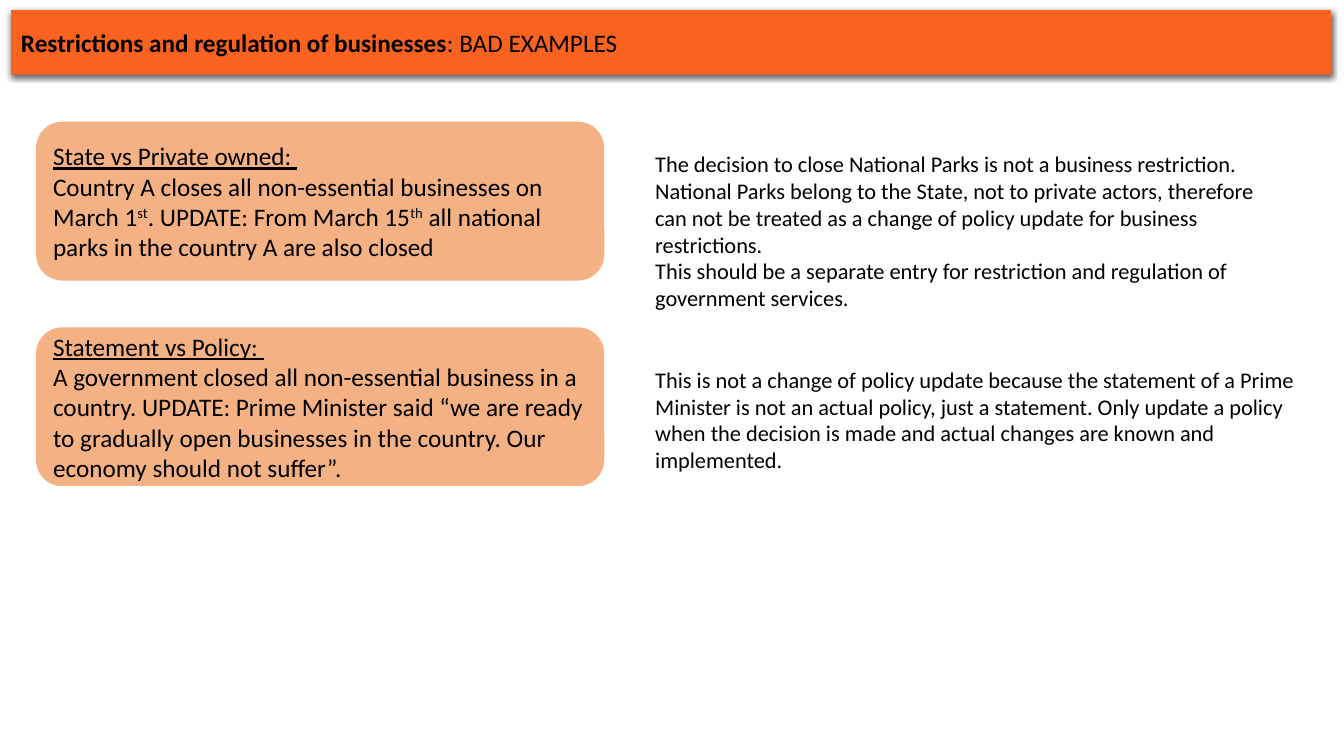
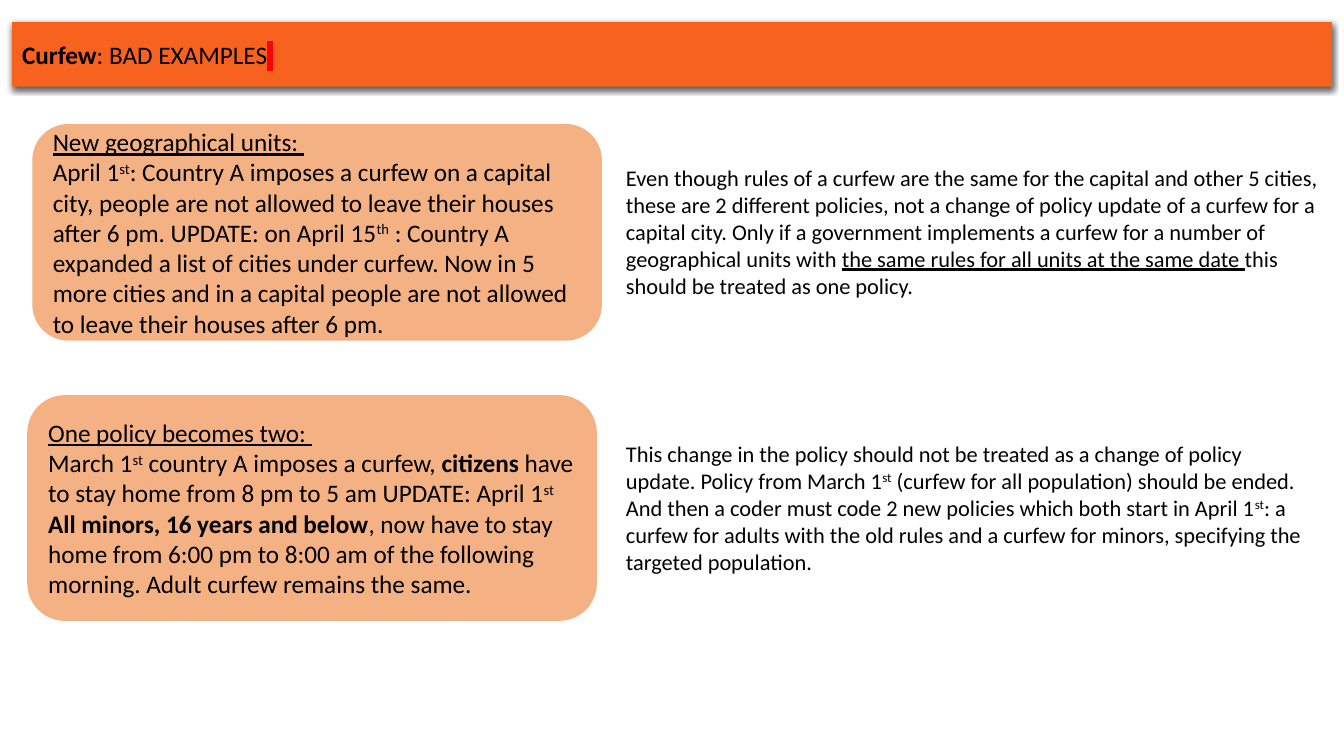
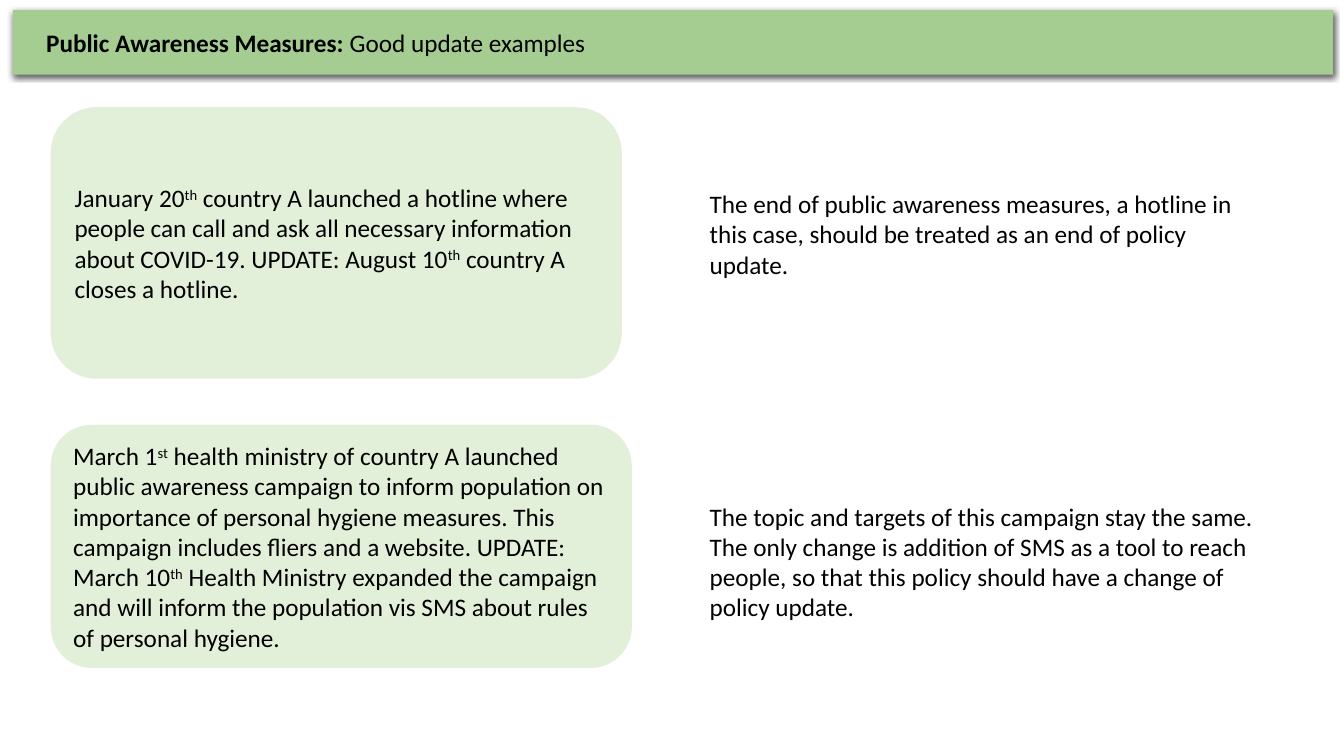
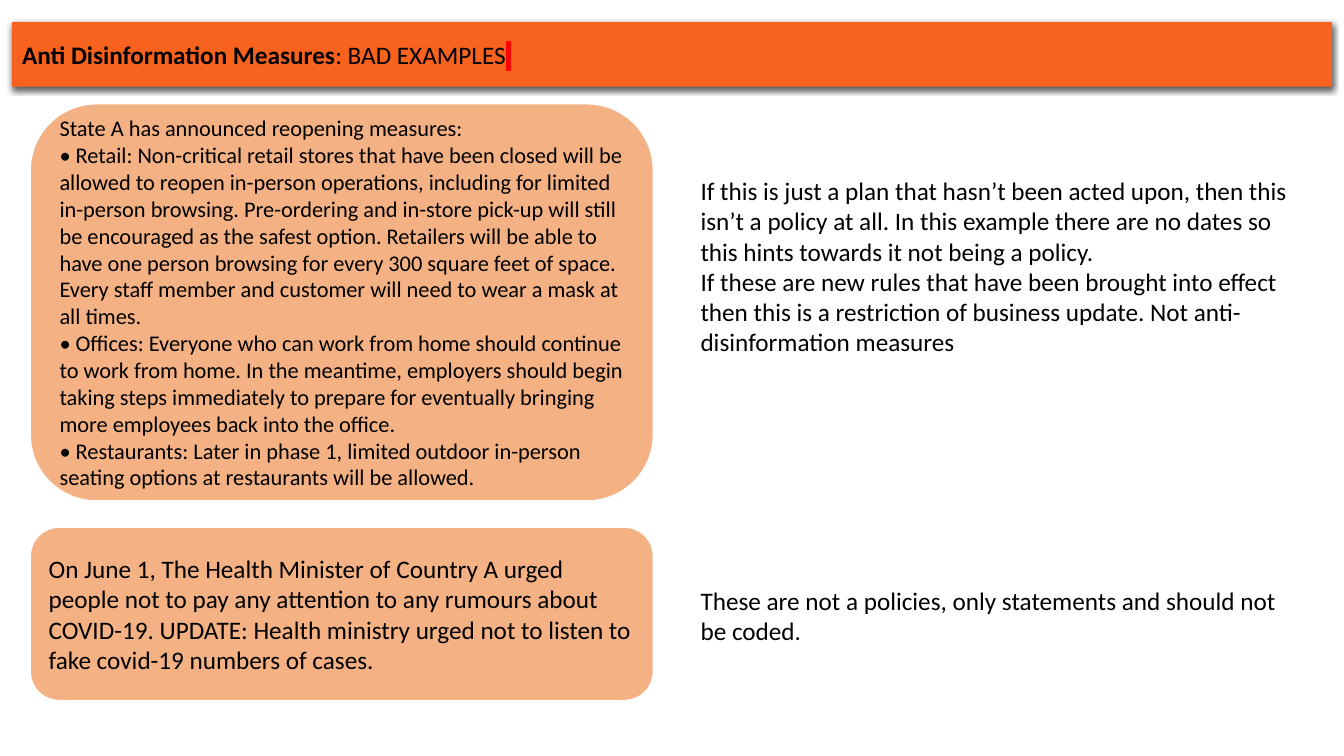
"""Build four slides of good and bad policy update examples."""
from dataclasses import dataclass

import lxml.etree
import pptx
import pptx.dml.color
import pptx.enum.shapes
import pptx.enum.text
import pptx.oxml
import pptx.oxml.ns
import pptx.util

Inches = pptx.util.Inches
BOLD, UNDERLINE, SUPER, MARK = "bold", "underline", "super", "mark"
ST, TH = ("st", SUPER), ("th", SUPER)


@dataclass(frozen=True)
class Theme:
    """Colours, font and type sizes shared by all slides."""
    font: str = "Calibri"
    ink: str = "000000"
    white: str = "FFFFFF"
    mark: str = "FF0000"
    business_band: str = "F9621F"
    bad_band: str = "F8621F"
    bad_case: str = "F4B183"
    good_band: str = "A5CD92"
    good_case: str = "E2F0D9"
    plain_table: str = "{2D5ABB26-0587-4C30-8999-92F81FD0307C}"
    large: int = 18
    small: int = 16


THEME = Theme()


def rgb(value):
    """Return a colour object for a hex value."""
    return pptx.dml.color.RGBColor.from_string(value)


def style_run(r, size, style):
    """Set the font of a run and its optional emphasis."""
    r.font.size = pptx.util.Pt(size)
    r.font.color.rgb = rgb(THEME.ink)
    r.font.name = THEME.font
    r.font.bold = style == BOLD
    r.font.underline = style == UNDERLINE
    rpr = r._r.get_or_add_rPr()
    if style == SUPER:
        rpr.set("baseline", "30000")
    if style == MARK:
        highlight = lxml.etree.Element(pptx.oxml.ns.qn("a:highlight"))
        lxml.etree.SubElement(highlight, pptx.oxml.ns.qn("a:srgbClr"), val=THEME.mark)
        rpr.find(pptx.oxml.ns.qn("a:latin")).addprevious(highlight)


def write(sp, paragraphs, size):
    """Fill a shape with left-aligned paragraphs made of plain or styled runs."""
    tf = sp.text_frame
    tf.word_wrap = True
    for i, runs in enumerate(paragraphs):
        p = tf.add_paragraph() if i else tf.paragraphs[0]
        p.alignment = pptx.enum.text.PP_ALIGN.LEFT
        for run in runs:
            text, style = (run, None) if isinstance(run, str) else run
            r = p.add_run()
            r.text = text
            style_run(r, size, style)


def add_panel(s, kind, box, fill, line=None):
    """Add a filled shape with middle-anchored text."""
    sp = s.shapes.add_shape(kind, *map(Inches, box))
    sp.shadow.inherit = False
    sp.fill.solid()
    sp.fill.fore_color.rgb = rgb(fill)
    if line:
        sp.line.color.rgb = rgb(line)
        sp.line.width = pptx.util.Pt(1)
    else:
        sp.line.fill.background()
    sp.text_frame.vertical_anchor = pptx.enum.text.MSO_ANCHOR.MIDDLE
    return sp


def add_band(s, left, top, fill, title=()):
    """Add the title band with its drop shadow."""
    sp = add_panel(s, pptx.enum.shapes.MSO_SHAPE.RECTANGLE, (left, top, 13.09, 0.64), fill)
    effects = sp._element.spPr.find(pptx.oxml.ns.qn("a:effectLst"))
    effects.append(pptx.oxml.parse_xml(
        f'<a:outerShdw {pptx.oxml.ns.nsdecls("a")} blurRad="57150" dist="19050" dir="5400000"'
        ' algn="ctr" rotWithShape="0"><a:srgbClr val="000000"><a:alpha val="63000"/>'
        '</a:srgbClr></a:outerShdw>'))
    write(sp, [title], THEME.large)


def add_case(s, box, fill, line, paragraphs, size=THEME.large):
    """Add a rounded box holding an example."""
    sp = add_panel(s, pptx.enum.shapes.MSO_SHAPE.ROUNDED_RECTANGLE, box, fill, line)
    write(sp, paragraphs, size)


def add_note(s, box, paragraphs, size):
    """Add free text such as the comment beside an example."""
    write(s.shapes.add_textbox(*map(Inches, box)), paragraphs, size)


def add_plain_table(s, box):
    """Add a one-cell table without fill or borders."""
    table = s.shapes.add_table(1, 1, *map(Inches, box)).table
    table.first_row = table.horz_banding = False
    table._tbl.tblPr.find(pptx.oxml.ns.qn("a:tableStyleId")).text = THEME.plain_table
    table.cell(0, 0).fill.background()


def business_slide(s):
    """Show bad examples for business restrictions."""
    add_band(s, 0.11, 0.1, THEME.business_band,
             [("Restrictions and regulation of businesses", BOLD), ": BAD EXAMPLES"])
    add_note(s, (6.4, 1.44, 6.41, 1.72), [
        ["The decision to close National Parks is not a business restriction. National Parks "
         "belong to the State, not to private actors, therefore can not be treated as a change "
         "of policy update for business restrictions."],
        ["This should be a separate entry for restriction and regulation of government "
         "services."]], THEME.small)
    add_case(s, (0.35, 1.2, 5.65, 1.59), THEME.bad_case, THEME.white, [
        [("State vs Private owned: ", UNDERLINE)],
        ["Country A closes all non-essential businesses on March 1", ST,
         ". UPDATE: From March 15", TH, " all national parks in the country A are also closed"]])
    add_case(s, (0.35, 3.24, 5.65, 1.59), THEME.bad_case, THEME.white, [
        [("Statement vs Policy: ", UNDERLINE)],
        ["A government closed all non-essential business in a country. UPDATE: Prime Minister "
         "said “we are ready to gradually open businesses in the country. Our economy should "
         "not suffer”."]])
    add_note(s, (6.4, 3.58, 6.59, 1.18), [
        ["This is not a change of policy update because the statement of a Prime Minister is "
         "not an actual policy, just a statement. Only update a policy when the decision is "
         "made and actual changes are known and implemented."]], THEME.small)


def curfew_slide(s):
    """Show bad examples for curfews."""
    add_note(s, (6.11, 1.58, 7.09, 1.45), [
        ["Even though rules of a curfew are the same for the capital and other 5 cities, these "
         "are 2 different policies, not a change of policy update of a curfew for a capital "
         "city. Only if a government implements a curfew for a number of geographical units "
         "with ", ("the same rules for all units at the same date ", UNDERLINE),
         "this should be treated as one policy."]], THEME.small)
    add_case(s, (0.32, 1.23, 5.65, 2.15), THEME.bad_case, None, [
        [("New geographical units: ", UNDERLINE)],
        ["April 1", ST, ": Country A imposes a curfew on a capital city, people are not allowed "
         "to leave their houses after 6 pm. UPDATE: on April 15", TH,
         " : Country A expanded a list of cities under curfew. Now in 5 more cities and in a "
         "capital people are not allowed to leave their houses after 6 pm."]])
    add_case(s, (0.27, 3.92, 5.65, 2.24), THEME.bad_case, None, [
        [("One policy becomes two: ", UNDERLINE)],
        ["March 1", ST, " country A imposes a curfew, ", ("citizens", BOLD),
         " have to stay home from 8 pm to 5 am UPDATE: April 1", ("st ", SUPER),
         ("All minors, 16 years and below", BOLD),
         ", now have to stay home from 6:00 pm to 8:00 am of the following morning. Adult "
         "curfew remains the same."]])
    add_note(s, (6.11, 4.32, 6.95, 1.45), [
        ["This change in the policy should not be treated as a change of policy update. Policy "
         "from March 1", ST, " (curfew for all population) should be ended. And then a coder "
         "must code 2 new policies which both start in April 1", ST,
         ": a curfew for adults with the old rules and a curfew for minors, specifying the "
         "targeted population."]], THEME.small)
    add_band(s, 0.12, 0.22, THEME.bad_band,
             [("Curfew", BOLD), ": BAD EXAMPLES", (" ", MARK)])


def awareness_slide(s):
    """Show good examples for public awareness measures."""
    add_band(s, 0.13, 0.1, THEME.good_band)
    add_note(s, (0.36, 0.22, 9.27, 0.4), [
        [("Public Awareness Measures: ", BOLD), "Good update examples"]], THEME.large)
    add_case(s, (0.51, 1.07, 5.65, 2.68), THEME.good_case, THEME.good_case, [
        ["January 20", TH, " country A launched a hotline where people can call and ask all "
         "necessary information about COVID-19. UPDATE: August 10", TH,
         " country A closes a hotline."]])
    add_case(s, (0.51, 4.22, 5.75, 2.4), THEME.good_case, THEME.good_case, [
        ["March 1", ST, " health ministry of country A launched public awareness campaign to "
         "inform population on importance of personal hygiene measures. This campaign includes "
         "fliers and a website. UPDATE: March 10", TH,
         " Health Ministry expanded the campaign and will inform the population vis SMS about "
         "rules of personal hygiene."]])
    add_note(s, (6.94, 1.82, 5.65, 1.01), [
        ["The end of public awareness measures, a hotline in this case, should be treated as "
         "an end of policy update."]], THEME.large)
    add_note(s, (6.94, 4.92, 5.75, 1.31), [
        ["The topic and targets of this campaign stay the same."],
        ["The only change is addition of SMS as a tool to reach"],
        ["people, so that this policy should have a change of policy update."]], THEME.large)


def disinformation_slide(s):
    """Show bad examples for anti disinformation measures."""
    add_note(s, (6.85, 1.69, 6.06, 1.92), [
        ["If this is just a plan that hasn’t been acted upon, then this isn’t a policy at all. "
         "In this example there are no dates so this hints towards it not being a policy."],
        ["If these are new rules that have been brought into effect then this is a restriction "
         "of business update. Not anti-disinformation measures"]], THEME.large)
    add_case(s, (0.3, 1.03, 6.18, 3.94), THEME.bad_case, THEME.white, [
        ["State A has announced reopening measures:"],
        ["• Retail: Non-critical retail stores that have been closed will be allowed to reopen "
         "in-person operations, including for limited in-person browsing. Pre-ordering and "
         "in-store pick-up will still be encouraged as the safest option. Retailers will be "
         "able to have one person browsing for every 300 square feet of space. Every staff "
         "member and customer will need to wear a mask at all times."],
        ["• Offices: Everyone who can work from home should continue to work from home. In the "
         "meantime, employers should begin taking steps immediately to prepare for eventually "
         "bringing more employees back into the office."],
        ["• Restaurants: Later in phase 1, limited outdoor in-person seating options at "
         "restaurants will be allowed."]], THEME.small)
    add_case(s, (0.3, 5.23, 6.18, 1.72), THEME.bad_case, THEME.white, [
        ["On June 1, The Health Minister of Country A urged people not to pay any attention to "
         "any rumours about COVID-19. UPDATE: Health ministry urged not to listen to fake "
         "covid-19 numbers of cases."]])
    add_note(s, (6.85, 5.76, 6.18, 0.71), [
        ["These are not a policies, only statements and should not be coded."]], THEME.large)
    add_band(s, 0.12, 0.22, THEME.bad_band,
             [("Anti Disinformation Measures", BOLD), ": BAD EXAMPLES", (" ", MARK)])
    add_plain_table(s, (0.92, 4.03, 11.5, 0.4))


def main():
    """Build and save the presentation."""
    prs = pptx.Presentation()
    prs.slide_width, prs.slide_height = Inches(13.33), Inches(7.5)
    for build in (business_slide, curfew_slide, awareness_slide, disinformation_slide):
        build(prs.slides.add_slide(prs.slide_layouts[6]))
    prs.save("out.pptx")


if __name__ == "__main__":
    main()
